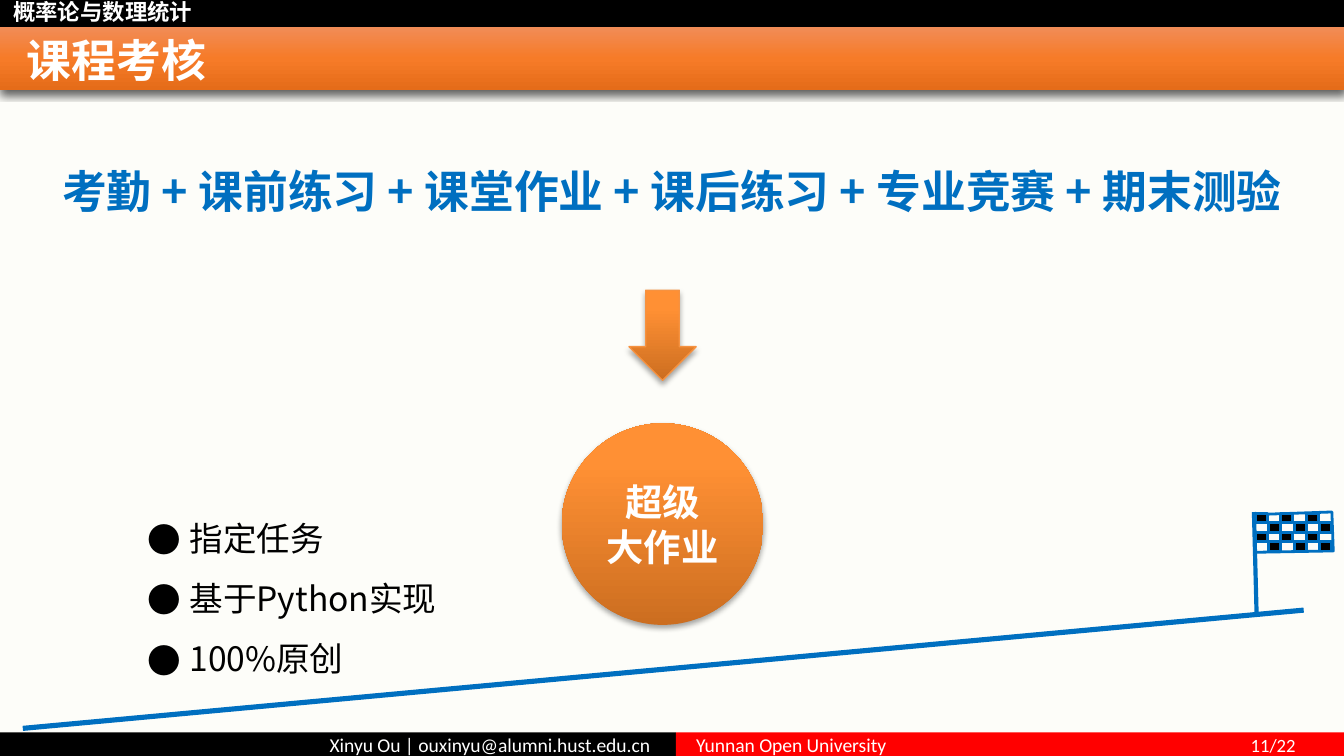
from dataclasses import dataclass

from lxml import etree
from pptx import Presentation
from pptx.dml.color import RGBColor
from pptx.enum.shapes import MSO_CONNECTOR, MSO_SHAPE
from pptx.enum.text import MSO_ANCHOR, MSO_AUTO_SIZE, PP_ALIGN
from pptx.oxml.ns import qn
from pptx.util import Emu, Inches, Pt

RECTANGLE, OVAL, DOWN_ARROW = MSO_SHAPE.RECTANGLE, MSO_SHAPE.OVAL, MSO_SHAPE.DOWN_ARROW
LEFT, CENTER, RIGHT = PP_ALIGN.LEFT, PP_ALIGN.CENTER, PP_ALIGN.RIGHT
TOP, MIDDLE = MSO_ANCHOR.TOP, MSO_ANCHOR.MIDDLE

COLORS = {"paper": "FDFDF9", "black": "000000", "white": "FFFFFF", "red": "FF0000",
          "blue": "006FC0", "arrow_edge": "F69240"}
CJK_FONT = "Noto Sans CJK SC"
LATIN_FONT = "Calibri"
ORANGE_BALL = ((0, "CC6E20"), (80, "FF9034"), (100, "FF9136"))
ORANGE_BAND = ((0, "F18C57"), (50, "F67B28"), (100, "E56C19"))


@dataclass
class Box:
    left: float
    top: float
    width: float
    height: float

    def lengths(self) -> tuple:
        return tuple(Inches(v) for v in (self.left, self.top, self.width, self.height))


@dataclass
class Shadow:
    opacity: int
    blur: float
    distance: float


@dataclass
class TextStyle:
    size: float
    color: str
    font: str = CJK_FONT
    bold: bool = False
    align: PP_ALIGN = LEFT
    anchor: MSO_ANCHOR = TOP
    insets: tuple = (0.1, 0.05, 0.1, 0.05)
    spacing: object = None


BALL_SHADOW = Shadow(35, 3.1, 1.8)
BAND_SHADOW = Shadow(63, 4.5, 1.5)


def rgb(name: str) -> RGBColor:
    return RGBColor.from_string(COLORS[name])


def add_run(paragraph, text: str, style: TextStyle) -> None:
    run = paragraph.add_run()
    run.text = text
    formats = {"name": style.font, "size": Pt(style.size), "bold": style.bold}
    for key, value in formats.items():
        setattr(run.font, key, value)
    run.font.color.rgb = rgb(style.color)
    east_asian = etree.SubElement(run.font._element, qn("a:ea"))
    east_asian.set("typeface", CJK_FONT)


def write_text(shape, lines: list, style: TextStyle) -> list:
    frame = shape.text_frame
    left, top, right, bottom = (Inches(v) for v in style.insets)
    formats = {"word_wrap": True, "auto_size": MSO_AUTO_SIZE.NONE,
               "vertical_anchor": style.anchor, "margin_left": left,
               "margin_top": top, "margin_right": right, "margin_bottom": bottom}
    for key, value in formats.items():
        setattr(frame, key, value)
    paragraphs = []
    for index, line in enumerate(lines):
        paragraph = frame.add_paragraph() if index else frame.paragraphs[0]
        paragraph.alignment = style.align
        paragraph.space_before = Pt(0)
        if style.spacing:
            paragraph.line_spacing = style.spacing
        add_run(paragraph, line, style)
        paragraphs.append(paragraph)
    return paragraphs


def add_shape(slide, kind, box: Box, color: str = ""):
    shape = slide.shapes.add_shape(kind, *box.lengths())
    shape.shadow.inherit = False
    shape.line.fill.background()
    if color:
        shape.fill.solid()
        shape.fill.fore_color.rgb = rgb(color)
    return shape


def add_glossy_shape(slide, kind, box: Box, stops: tuple, angle: int, shadow: Shadow):
    shape = add_shape(slide, kind, box)
    # Three-stop gradient
    shape.fill.gradient()
    gradient = shape._element.spPr.find(qn("a:gradFill"))
    stop_list = gradient.find(qn("a:gsLst"))
    for stop in list(stop_list):
        stop_list.remove(stop)
    for position, color in stops:
        stop = etree.SubElement(stop_list, qn("a:gs"), pos=str(position * 1000))
        etree.SubElement(stop, qn("a:srgbClr"), val=color)
    gradient.find(qn("a:lin")).set("ang", str(angle * 60000))
    # Soft shadow straight below
    effects = shape._element.spPr.find(qn("a:effectLst"))
    outer = etree.SubElement(effects, qn("a:outerShdw"), blurRad=str(Pt(shadow.blur)),
                             dist=str(Pt(shadow.distance)), dir="5400000", rotWithShape="0")
    color = etree.SubElement(outer, qn("a:srgbClr"), val=COLORS["black"])
    etree.SubElement(color, qn("a:alpha"), val=str(shadow.opacity * 1000))
    return shape


def add_text_box(slide, box: Box, text: str, style: TextStyle) -> None:
    write_text(slide.shapes.add_textbox(*box.lengths()), [text], style)


def outline(shape, color: str, width: float) -> None:
    shape.line.color.rgb = rgb(color)
    shape.line.width = Pt(width)


def add_line(slide, start: tuple, end: tuple, width: float) -> None:
    line = slide.shapes.add_connector(
        MSO_CONNECTOR.STRAIGHT, *(Inches(v) for v in start + end))
    outline(line, "blue", width)
    etree.SubElement(line._element.spPr, qn("a:effectLst"))


def add_flag(slide) -> None:
    add_line(slide, (0.17, 5.42), (9.7, 4.54), 2.75)
    add_line(slide, (9.33, 3.81), (9.35, 4.58), 2.25)
    corners = [(Inches(x), Inches(y)) for x, y in
               ((9.33, 3.83), (9.91, 3.81), (9.92, 4.1), (9.34, 4.11))]
    builder = slide.shapes.build_freeform(*corners[0])
    builder.add_line_segments(corners[1:], close=True)
    cloth = builder.convert_to_shape()
    cloth.shadow.inherit = False
    cloth.fill.background()
    outline(cloth, "blue", 1.5)
    # Checkerboard: every other cell of a 4 by 6 grid
    for row in range(4):
        for column in range(row % 2, 6, 2):
            box = Box(9.34 + 0.1 * column - 0.01 * (column // 2), 3.82 + 0.07 * row, 0.09, 0.07)
            outline(add_shape(slide, RECTANGLE, box, "black"), "blue", 1.5)


def add_bars(slide) -> None:
    add_shape(slide, RECTANGLE, Box(0, 0, 10, 0.2), "black")
    add_text_box(slide, Box(0, 0, 10, 0.25), "概率论与数理统计",
                 TextStyle(12, "white", LATIN_FONT, True, spacing=Pt(10)))
    author = add_shape(slide, RECTANGLE, Box(0, 5.45, 5.03, 0.18), "black")
    write_text(author, ["Xinyu Ou | ouxinyu@alumni.hust.edu.cn"],
               TextStyle(10.5, "white", LATIN_FONT, align=RIGHT, anchor=MIDDLE,
                         insets=(0.15, 0.04, 0.19, 0.04)))
    school = add_shape(slide, RECTANGLE, Box(5.03, 5.45, 4.97, 0.18), "red")
    style = TextStyle(10.5, "white", LATIN_FONT, insets=(0.15, 0, 0.15, 0))
    paragraph = write_text(school, ["Yunnan Open University\t"], style)[0]
    tabs = etree.SubElement(paragraph._p.get_or_add_pPr(), qn("a:tabLst"))
    etree.SubElement(tabs, qn("a:tab"), pos=str(Inches(4.46)), algn="r")
    add_run(paragraph, "11/22", TextStyle(10, "white", LATIN_FONT))


def place(slide, shape, box: Box) -> None:
    shape.left, shape.top, shape.width, shape.height = box.lengths()
    slide.shapes._spTree.append(shape._element)  # bring to front


def main() -> None:
    presentation = Presentation()
    presentation.slide_width, presentation.slide_height = Inches(10), Emu(5143500)
    slide = presentation.slides.add_slide(presentation.slide_layouts[1])
    slide.background.fill.solid()
    slide.background.fill.fore_color.rgb = rgb("paper")
    title, body = slide.placeholders[0], slide.placeholders[1]

    # Frame of the slide
    add_bars(slide)
    add_flag(slide)
    add_glossy_shape(slide, RECTANGLE, Box(0, 0.2, 10, 0.47), ORANGE_BAND, 90, BAND_SHADOW)
    place(slide, title, Box(0, 0.24, 10, 0.4))
    write_text(title, ["课程考核"],
               TextStyle(24, "white", bold=True, anchor=MIDDLE, insets=(0.2, 0, 0, 0)))

    # Assessment parts leading to the big assignment
    parts = ["考勤", "课前练习", "课堂作业", "课后练习", "专业竞赛", "期末测验"]
    add_text_box(slide, Box(0, 1.21, 10, 0.42), " + ".join(parts),
                 TextStyle(24, "blue", bold=True, align=CENTER, insets=(0, 0.01, 0, 0)))
    ball = add_glossy_shape(slide, OVAL, Box(4.18, 3.15, 1.5, 1.5),
                            ORANGE_BALL, 270, BALL_SHADOW)
    write_text(ball, ["超级", "大作业"],
               TextStyle(20, "white", bold=True, align=CENTER, anchor=MIDDLE))
    arrow = add_glossy_shape(slide, DOWN_ARROW, Box(4.68, 2.16, 0.5, 0.67),
                             ORANGE_BALL, 270, BALL_SHADOW)
    outline(arrow, "arrow_edge", 0.75)

    # Requirements
    place(slide, body, Box(1, 3.65, 2.58, 1.46))
    for paragraph in write_text(body, ["指定任务", "基于Python实现", "100%原创"],
                                TextStyle(18, "black", spacing=1.5)):
        properties = paragraph._p.get_or_add_pPr()
        properties.set("marL", str(Inches(0.31)))
        properties.set("indent", str(-Inches(0.31)))
        etree.SubElement(properties, qn("a:buFont"), typeface=CJK_FONT)
        etree.SubElement(properties, qn("a:buChar"), char="●")

    presentation.save("out.pptx")


if __name__ == "__main__":
    main()
